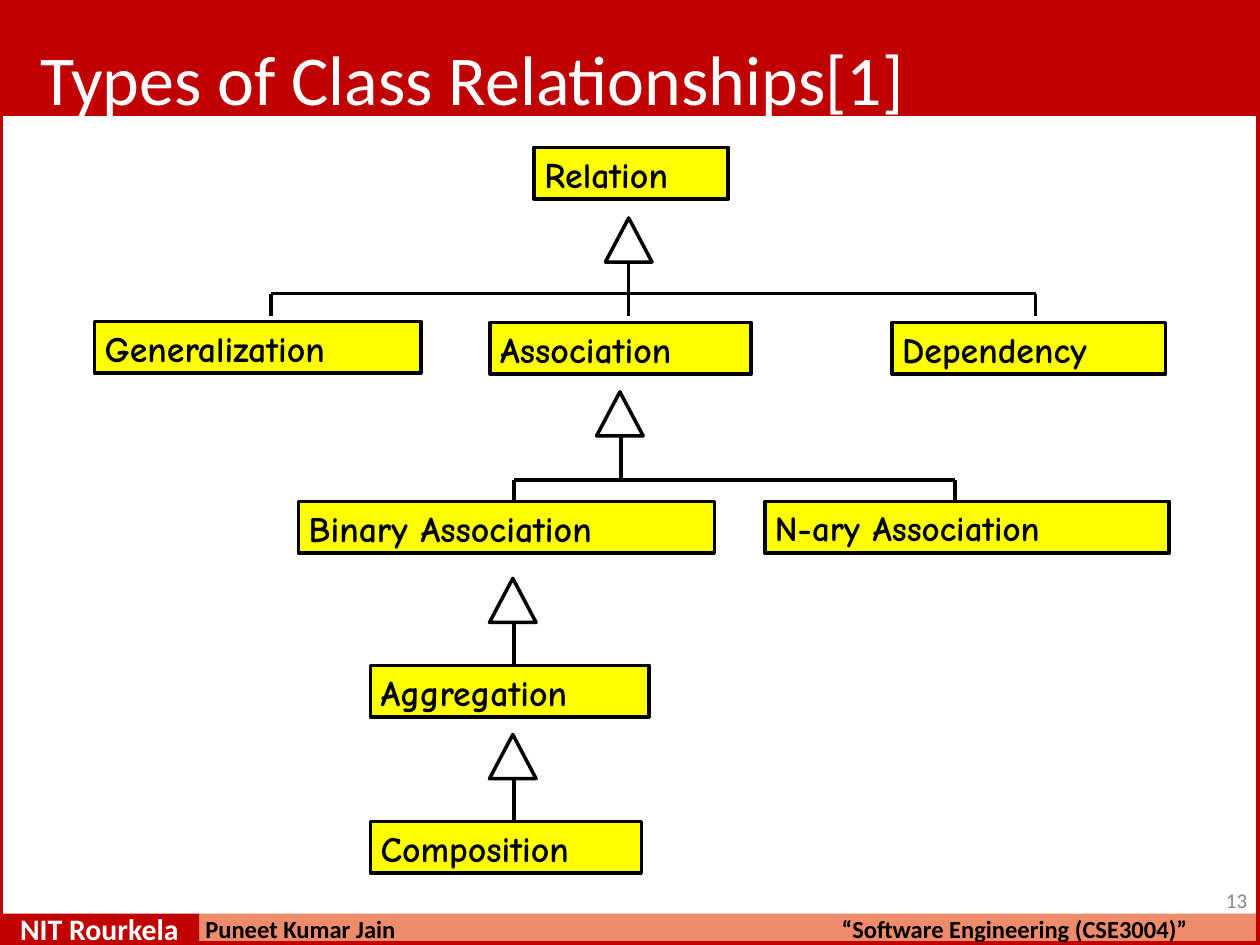
"""Build a slide with a tree of class relationships on a grid of 1000 columns by 750 rows."""
import pptx
import pptx.util
import pptx.dml.color
import pptx.enum.shapes
import pptx.oxml

RED, PEACH, YELLOW, BLACK, WHITE, GREY = (
    "C00000", "EE8B6A", "FFFF00", "000000", "FFFFFF", "888888")
KIND = pptx.enum.shapes.MSO_SHAPE
WIDE, HIGH = 1000, 750
FOOT = 725
SPLIT = 158

BANDS = [
    (0, 0, WIDE, 92, RED),
    (SPLIT, FOOT, WIDE - SPLIT, HIGH - FOOT, PEACH),
    (0, FOOT, SPLIT, HIGH - FOOT, RED),
]
TITLE = "Types of Class Relationships[1]"
BOXES = [
    ("Relation", 424, 117, 154, 20.5),
    ("Association", 389, 256, 207, 20.5),
    ("Generalization", 75, 255, 259, 20.5),
    ("Dependency", 708, 256, 217, 20.5),
    ("Aggregation", 294, 528, 221, 20.5),
    ("Binary Association", 237, 398, 330, 20.5),
    ("N-ary Association", 607, 398, 321, 20),
    ("Composition", 294, 652, 215, 20.5),
]
BOX_HIGH = 41
HEADS = [(499, 173), (492, 311), (407, 459), (407, 583)]
HEAD_WIDE, HEAD_HIGH = 37, 35
LINES = [
    (499, 207, 499, 251),
    (215, 233, 822, 233),
    (215, 233, 215, 251),
    (822, 233, 822, 251),
    (493, 346, 493, 381),
    (408, 381, 758, 381),
    (408, 381, 408, 398),
    (758, 381, 758, 398),
    (408, 493, 408, 528),
    (408, 618, 408, 652),
]
LABELS = [
    ("13", 961, 707, 33, 19, 12, 12, 12.4, GREY, False),
    ("NIT Rourkela", 15, 727, 128, 26, 1, 17, 17.2, WHITE, True),
    ("Puneet Kumar Jain", 162, 729, 153, 22, 1, 14, 14.2, BLACK, True),
    ("“Software Engineering (CSE3004)”", 667, 729, 276, 22, 1, 14, 14.2, BLACK, True),
]

deck = pptx.Presentation()
deck.slide_width = pptx.util.Inches(10)
deck.slide_height = pptx.util.Inches(7.5)
slide = deck.slides.add_slide(deck.slide_layouts[6])
UNIT = deck.slide_width // WIDE


def color(code):
    return pptx.dml.color.RGBColor.from_string(code)


def grid(*cells):
    return [round(cell * UNIT) for cell in cells]


def stroke(line, code, width):
    line.color.rgb = color(code)
    line.width = pptx.util.Pt(width)


def shape(kind, cells, fill=None, edge=None, width=2):
    item = slide.shapes.add_shape(kind, *grid(*cells))
    item.shadow.inherit = False
    if fill:
        item.fill.solid()
        item.fill.fore_color.rgb = color(fill)
    else:
        item.fill.background()
    if edge:
        stroke(item.line, edge, width)
    else:
        item.line.fill.background()
    return item


def write(item, text, left, top, face, size, code, bold, lead=None):
    frame = item.text_frame
    frame.text = text
    frame.word_wrap = False
    frame.vertical_anchor = pptx.enum.text.MSO_ANCHOR.TOP
    frame.margin_left, frame.margin_top = grid(left, top)
    frame.margin_right = frame.margin_bottom = 0
    para = frame.paragraphs[0]
    para.alignment = pptx.enum.text.PP_ALIGN.LEFT
    if lead:
        para.line_spacing = pptx.util.Pt(lead)
    font = para.runs[0].font
    font.name, font.size, font.bold = face, pptx.util.Pt(size), bold
    font.color.rgb = color(code)


for *cells, fill in BANDS:
    shape(KIND.RECTANGLE, cells, fill)
shape(KIND.RECTANGLE, (0, 0, WIDE, HIGH), edge=RED, width=4)

title = slide.shapes.add_textbox(*grid(31, 24, 690, 70))
write(title, TITLE, 1, 4, "Calibri", 40, WHITE, False)

for text, left, top, wide, size in BOXES:
    box = shape(KIND.RECTANGLE, (left, top, wide, BOX_HIGH), YELLOW, BLACK)
    write(box, text, 8, 4, "Comic Neue", size, BLACK, True)

for mid, top in HEADS:
    shape(KIND.ISOSCELES_TRIANGLE,
          (mid - HEAD_WIDE / 2, top, HEAD_WIDE, HEAD_HIGH), edge=BLACK)

for ends in LINES:
    link = slide.shapes.add_connector(
        pptx.enum.shapes.MSO_CONNECTOR.STRAIGHT, *grid(*ends))
    stroke(link.line, BLACK, 2)
    link._element.spPr.append(pptx.oxml.parse_xml(
        '<a:effectLst xmlns:a="http://schemas.openxmlformats.org/drawingml/2006/main"/>'))

for text, left, top, wide, high, inset, size, lead, code, bold in LABELS:
    label = slide.shapes.add_textbox(*grid(left, top, wide, high))
    write(label, text, inset, 0, "Calibri", size, code, bold, lead)

deck.save("out.pptx")
